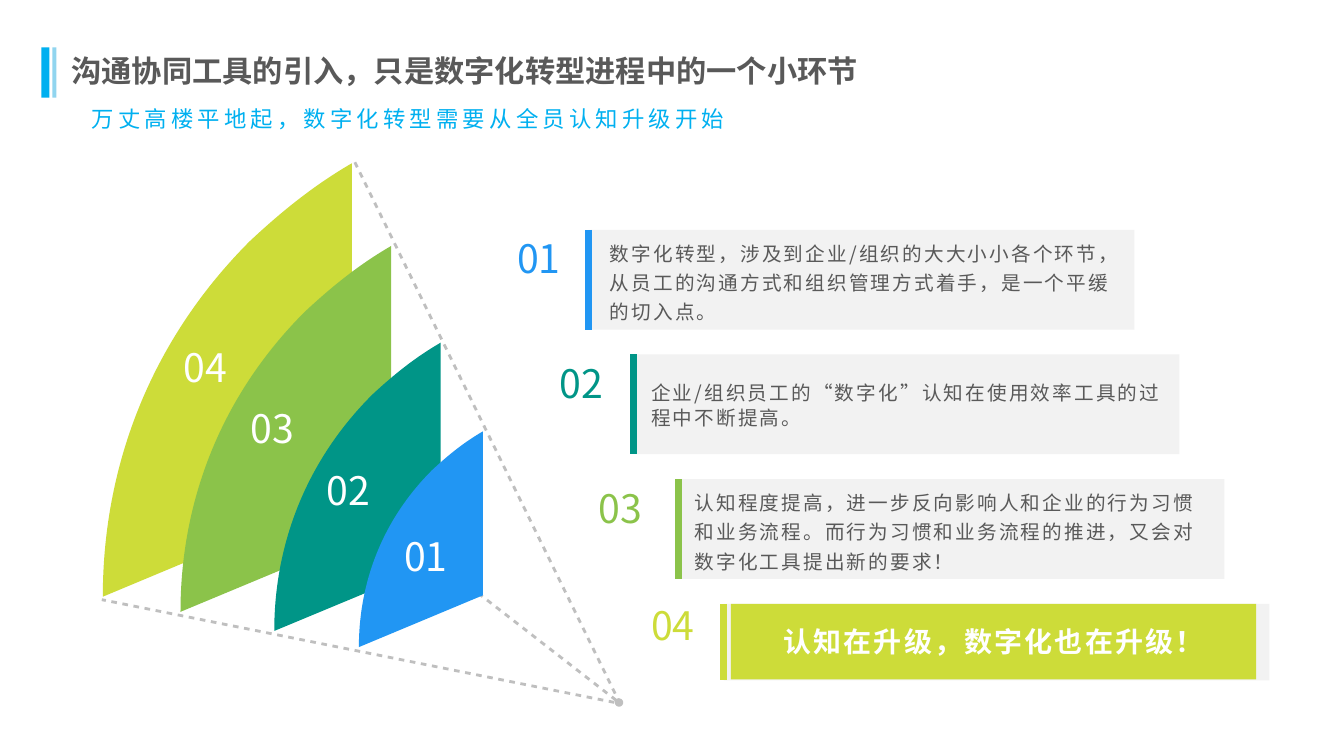
"""Builds the slide on communication tools as one step of digital transformation."""
from lxml.etree import SubElement
from pptx import Presentation
from pptx.dml.color import RGBColor
from pptx.enum.shapes import MSO_CONNECTOR as Connector, MSO_SHAPE as Shape
from pptx.enum.text import MSO_ANCHOR as Anchor, PP_ALIGN as Align
from pptx.oxml.ns import qn
from pptx.util import Inches, Pt

FONT = "Noto Sans CJK SC"
COLORS = {
    "sky": "00B0F0", "pale sky": "91D5EF", "ink": "595959", "white": "FFFFFF",
    "panel": "F2F2F2", "dash": "BFBFBF", "blue": "2196F3", "teal": "009587",
    "green": "8BC34A", "lime": "CDDC39",
}
TITLE = "沟通协同工具的引入，只是数字化转型进程中的一个小环节"
SUBTITLE = "万丈高楼平地起，数字化转型需要从全员认知升级开始"
CONCLUSION = "认知在升级，数字化也在升级！"
ACCENTS = [(0.52, 0.04, "pale sky"), (0.41, 0.08, "sky")]

SECTORS = [
    ("04", "lime", (1.02, 1.62, 2.47, 4.30), (1.72, 3.36)),
    ("03", "green", (1.79, 2.44, 2.09, 3.63), (2.39, 3.96)),
    ("02", "teal", (2.72, 3.40, 1.65, 2.86), (3.14, 4.58)),
    ("01", "blue", (3.56, 4.28, 1.23, 2.14), (3.91, 5.23)),
]
STEPS = [
    ("01", "blue", 0.99, (5.03, 2.28), 5.95, 1.25,
     "数字化转型，涉及到企业/组织的大大小小各个环节，从员工的沟通方式和组织管理方式着手，是一个平缓的切入点。"),
    ("02", "teal", 0.99, (5.45, 3.52), 6.36, 1.05,
     "企业/组织员工的“数字化”认知在使用效率工具的过程中不断提高。"),
    ("03", "green", 0.99, (5.84, 4.76), 6.79, 1.25,
     "认知程度提高，进一步反向影响人和企业的行为习惯和业务流程。而行为习惯和业务流程的推进，又会对数字化工具提出新的要求！"),
    ("04", "lime", 0.76, (6.36, 5.92), None, None, None),
]
FIRST_STEP, LAST_STEP, STEP_WIDTH = (5.84, 2.28), (7.18, 5.99), 5.41
CONE = [(3.52, 1.61), (6.15, 6.98), (1.01, 5.95)]
AXIS = [(6.14, 6.97), (1.66, 3.49)]

SECTOR_CORNERS = [(1, 0), (1, 0.76), (0, 1)]
SECTOR_CURVES = [
    [(0, 0.7), (0.19, 0.41), (0.59, 0.18)],
    [(0.72, 0.11), (0.85, 0.05), (1, 0)],
]


def rgb(color):
    """Return the palette colour."""
    return RGBColor.from_string(COLORS[color])


def emu(*lengths):
    """Convert inches to slide units."""
    return [Inches(length) for length in lengths]


def paint(shape, color):
    """Give a shape a plain fill without outline or shadow."""
    shape.shadow.inherit = False
    shape.fill.solid()
    shape.fill.fore_color.rgb = rgb(color)
    shape.line.fill.background()


def add_panel(box, color):
    """Add a filled rectangle."""
    panel = slide.shapes.add_shape(Shape.RECTANGLE, *emu(*box))
    paint(panel, color)
    return panel


def write(shape, text, size, color, bold=False, spacing=0, leading=None,
          align=Align.LEFT, anchor=Anchor.MIDDLE):
    """Put one formatted paragraph into a shape."""
    frame = shape.text_frame
    frame.word_wrap = True
    frame.vertical_anchor = anchor
    paragraph = frame.paragraphs[0]
    paragraph.alignment = align
    paragraph.line_spacing = leading
    run = paragraph.add_run()
    run.text = text
    for name, value in {"size": Pt(size), "bold": bold, "name": FONT}.items():
        setattr(run.font, name, value)
    run.font.color.rgb = rgb(color)
    properties = run._r.get_or_add_rPr()
    properties.set("spc", str(int(spacing * 100)))
    properties.find(qn("a:latin")).addnext(
        properties.makeelement(qn("a:ea"), {"typeface": FONT}))


def add_text(box, *content, **style):
    """Add a text box with one paragraph."""
    write(slide.shapes.add_textbox(*emu(*box)), *content, **style)


def add_number(place, number, color):
    """Add a large step number."""
    add_text((*place, 0.67, 0.57), number, 28, color, anchor=Anchor.TOP)


def add_line(start, end, color, width):
    """Add a straight line without shadow."""
    line = slide.shapes.add_connector(Connector.STRAIGHT, *emu(*start, *end))
    line.line.color.rgb = rgb(color)
    line.line.width = Pt(width)
    SubElement(line._element.spPr, qn("a:effectLst"))
    return line


def add_outline(points, close):
    """Add a freeform through points given in inches."""
    corners = [emu(*point) for point in points]
    builder = slide.shapes.build_freeform(*corners[0])
    builder.add_line_segments(corners[1:], close=close)
    return builder.convert_to_shape()


def add_sector(left, top, width, height, color):
    """Add one curved sector scaled into its box."""
    corners = [(left + x * width, top + y * height) for x, y in SECTOR_CORNERS]
    sector = add_outline(corners, True)
    outline = sector._element.find(".//" + qn("a:path"))
    closing = outline.find(qn("a:close"))
    for controls in SECTOR_CURVES:
        curve = SubElement(outline, qn("a:cubicBezTo"))
        for x, y in controls:
            SubElement(curve, qn("a:pt"), x=str(Inches(x * width)), y=str(Inches(y * height)))
    outline.append(closing)
    paint(sector, color)


deck = Presentation()
deck.slide_width, deck.slide_height = emu(13.33, 7.5)
slide = deck.slides.add_slide(deck.slide_layouts[6])

for left, width, color in ACCENTS:
    add_panel((left, 0.47, width, 0.5), color)
add_text((0.61, 0.46, 10.26, 0.48), TITLE, 21.6, "ink", bold=True)

cone = add_outline(CONE, False)
cone.shadow.inherit = False
cone.fill.background()
cone.line.color.rgb = rgb("dash")
cone.line.width = Pt(2)
axis = add_line(*AXIS, "dash", 2)
for dashed in (cone, axis):
    pattern = SubElement(dashed.line._get_or_add_ln(), qn("a:custDash"))
    SubElement(pattern, qn("a:ds"), d="200000", sp="200000")
SubElement(axis.line._get_or_add_ln(), qn("a:headEnd"), type="oval")

for number, color, box, place in SECTORS:
    add_sector(*box, color)
for number, color, box, place in SECTORS:
    add_number(place, number, "white")

shift_x, shift_y = [(last - first) / (len(STEPS) - 1)
                    for first, last in zip(FIRST_STEP, LAST_STEP)]
for row, (number, color, height, place, text_left, leading, text) in enumerate(STEPS):
    left, top = FIRST_STEP[0] + row * shift_x, FIRST_STEP[1] + row * shift_y
    add_panel((left, top, STEP_WIDTH, height), "panel")
    add_line((left, top), (left, top + height), color, 5)
    add_number(place, number, color)
    if text:
        add_text((text_left, top, 5.3, height), text, 14, "ink", spacing=1.5, leading=leading)

conclusion = add_panel((7.25, 5.99, 5.21, 0.75), "lime")
write(conclusion, CONCLUSION, 20, "white", bold=True, spacing=1.5, align=Align.CENTER)
add_text((0.73, 0.94, 6.56, 0.47), SUBTITLE, 16, "sky", spacing=3, align=Align.RIGHT)

deck.save("out.pptx")
